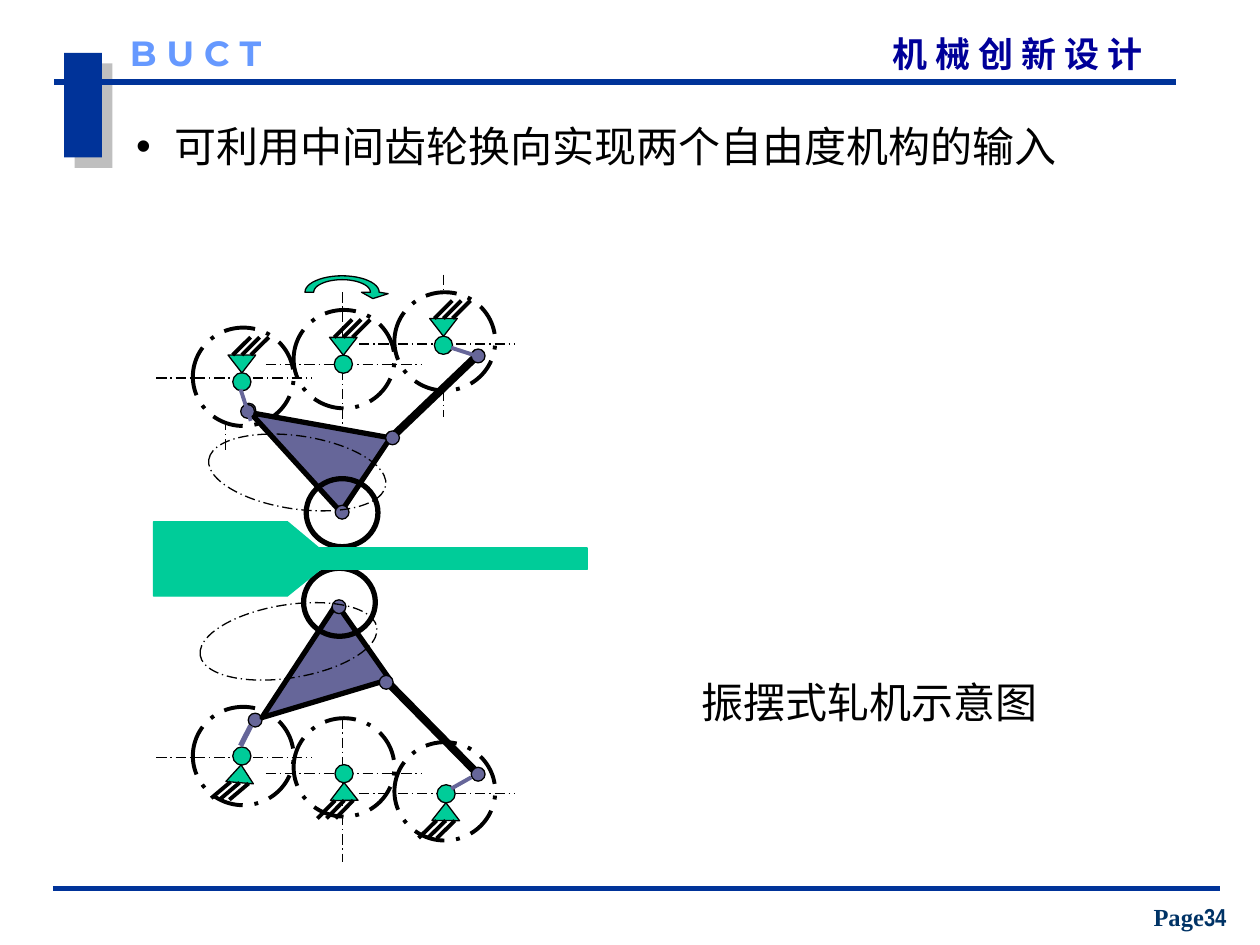
from math import cos, pi, radians, sin

from lxml import etree
from pptx import Presentation
from pptx.dml.color import RGBColor
from pptx.enum.dml import MSO_LINE
from pptx.enum.shapes import MSO_CONNECTOR, MSO_SHAPE
from pptx.enum.text import MSO_ANCHOR, MSO_AUTO_SIZE, PP_ALIGN
from pptx.oxml.ns import qn
from pptx.util import Pt

STRAIGHT = MSO_CONNECTOR.STRAIGHT
RECT, OVAL, TRIANGLE = MSO_SHAPE.RECTANGLE, MSO_SHAPE.OVAL, MSO_SHAPE.ISOSCELES_TRIANGLE
DASH_DOT = MSO_LINE.LONG_DASH_DOT
LEFT, CENTER, RIGHT = PP_ALIGN.LEFT, PP_ALIGN.CENTER, PP_ALIGN.RIGHT
TOP, BOTTOM = MSO_ANCHOR.TOP, MSO_ANCHOR.BOTTOM

COLORS = {"navy": "003399", "title": "000099", "school": "6699FF", "page": "003366",
          "black": "000000", "white": "FFFFFF", "green": "00CC99", "violet": "666699",
          "shadow": "808080"}
CJK, SERIF = "Noto Sans CJK SC", "Times New Roman"

# Text runs: (text, size, font, colour, bold)
TITLE = [("机 械 创 新 设 计", 20, CJK, "title", True)]
SCHOOL = [("B U C T", 20, "Montserrat", "school", True)]
BULLET = [("可利用中间齿轮换向实现两个自由度机构的输入", 24, SERIF, "black", False)]
CAPTION = [("振摆式轧机示意图", 24, SERIF, "black", False)]
PAGE = [("Page", 14, SERIF, "page", True), ("34", 14, "Arial Narrow", "page", True)]

RULES = [(31, 46.8, 671.8, 46.8), (30.2, 507.6, 697, 507.6)]

GEAR_X, GEAR_STEP, GEAR_SIZE = 139, 57.6, (57.6, 56.2)
AXIS_X, AXIS_LENGTH = (89.3, 151.9, 205.2), 88.6
PIVOT, JOINT, ROLLER, ORBIT = 10.4, 7.9, (41, 38.9), (102.2, 41.8)
BASE = (15.8, 10.2)

# Positions are centres; pivots are (x, y, rotation); lines are (x1, y1, x2, y2).
HALVES = [
    {"back_axes": [(128.9, 195.8, 128.9, 257.8), (253.4, 157, 253.4, 238.3)],
     "gear_y": (215.3, 205.2, 195.1),
     "axis_y": (216, 208.1, 196.6),
     "front_axis": (195.8, 167, 195.8, 249.1),
     "pivots": [(253.4, 197.3, 180), (196.2, 208.1, 180), (138.2, 218.2, 180)],
     "back_joint": (142.2, 234.4),
     "link": (272.9, 203, 223.9, 249.8),
     "plate": ((178.9, 266), (81.4, 46.8), 190.2),
     "roller": (195.5, 293),
     "joints": [(273.2, 203.4), (195.5, 292.7), (224.3, 250.2), (141.5, 235.1)],
     "cranks": [((137.5, 222.5, 143.3, 240.5), 2.25), ((257.8, 198.7, 275.8, 204.5), 2.25)],
     "orbit": ((169.9, 270), 8.3)},
    {"back_axes": [],
     "gear_y": (432, 438.5, 452.2),
     "axis_y": (432.7, 442.1, 453.6),
     "front_axis": (195.8, 410.4, 195.8, 492.5),
     "pivots": [(254.9, 453.6, 0.7), (196.6, 442.1, -0.4), (138.2, 432, 4.8)],
     "back_joint": (145.8, 411.5),
     "link": (272.9, 442.1, 221.8, 390.2),
     "plate": ((191.5, 391), (77.8, 49), 123.3),
     "roller": (194, 344.2),
     "joints": [(273.2, 442.4), (220.7, 389.9), (193.7, 346.7)],
     "cranks": [((143.3, 414.7, 137.5, 426.2), 3), ((257.8, 450.7, 269.3, 444.2), 2.25)],
     "orbit": ((164.9, 366.5), 351)},
]

STRIP = ((245.5, 319.3), (180, 12.2))
SLAB = [(87.8, 298.1), (164.2, 298.1), (190.1, 319.7), (164.2, 340.6), (87.8, 340.6)]
ARROW_CENTER, ARROW_OUTER, ARROW_INNER = (195.5, 167), (21.2, 9.4), (16.2, 7.2)
ARROW_HEAD = [(221.8, 167.8), (213.1, 170.6), (206.6, 167)]


def rgb(name):
    return RGBColor.from_string(COLORS[name])


def paint(s, fill, line, width, dash=None):
    s.shadow.inherit = False
    if fill:
        s.fill.solid()
        s.fill.fore_color.rgb = rgb(fill)
    else:
        s.fill.background()
    if line:
        s.line.color.rgb = rgb(line)
        s.line.width = Pt(width)
        s.line.dash_style = dash
    else:
        s.line.fill.background()
    return s


def shape(kind, center, size, fill=None, line="black", width=0.75, dash=None, rotation=0):
    (x, y), (w, h) = center, size
    s = shapes.add_shape(kind, Pt(x - w / 2), Pt(y - h / 2), Pt(w), Pt(h))
    s.rotation = rotation
    return paint(s, fill, line, width, dash)


def line(ends, color="black", width=0.75, dash=None):
    s = shapes.add_connector(STRAIGHT, *map(Pt, ends))
    s.line.color.rgb = rgb(color)
    s.line.width = Pt(width)
    s.line.dash_style = dash
    etree.SubElement(s._element.spPr, qn("a:effectLst"))


def outline(points, fill, color):
    pts = [(Pt(x), Pt(y)) for x, y in points]
    builder = shapes.build_freeform(*pts[0])
    builder.add_line_segments(pts[1:], close=True)
    paint(builder.convert_to_shape(), fill, color, 0.75)


def write(sp, box, runs, align=LEFT, anchor=TOP, inset=(7.2, 3.6)):
    sp.left, sp.top, sp.width, sp.height = map(Pt, box)
    tf = sp.text_frame
    tf.word_wrap, tf.auto_size, tf.vertical_anchor = True, MSO_AUTO_SIZE.NONE, anchor
    tf.margin_left = tf.margin_right = Pt(inset[0])
    tf.margin_top = tf.margin_bottom = Pt(inset[1])
    p = tf.paragraphs[0]
    p.alignment, p.space_before = align, Pt(0)
    for text, size, font, color, bold in runs:
        r = p.add_run()
        r.text = text
        r.font.size, r.font.name, r.font.bold = Pt(size), font, bold
        r.font.color.rgb = rgb(color)
        etree.SubElement(r._r.get_or_add_rPr(), qn("a:ea"), typeface=CJK)
    return p


def textbox(box, runs, **options):
    write(shapes.add_textbox(0, 0, 0, 0), box, runs, **options)


def fixed_pivot(x, y, rotation):
    """Bearing circle with its hatched support, turned about the circle's centre."""
    c, n = cos(radians(rotation)), sin(radians(rotation))

    def turned(dx, dy):
        return x + dx * c - dy * n, y + dx * n + dy * c

    w, h = BASE
    shape(OVAL, (x, y), (PIVOT, PIVOT), "green")
    shape(TRIANGLE, turned(0, h), (w, h), "green", rotation=rotation)
    for dx in (0, -5.2, 5.2):
        line(turned(dx, 1.5 * h) + turned(dx - h, 2.5 * h), width=2.25)


def joint(center):
    shape(OVAL, center, (JOINT, JOINT), "violet")


def mechanism(half):
    for axis in half["back_axes"]:
        line(axis, dash=DASH_DOT)
    for i, y in enumerate(half["gear_y"]):
        shape(OVAL, (GEAR_X + i * GEAR_STEP, y), GEAR_SIZE, "white", width=2.25, dash=DASH_DOT)
    for x, y in zip(AXIS_X, half["axis_y"]):
        line((x, y, x + AXIS_LENGTH, y), dash=DASH_DOT)
    line(half["front_axis"], dash=DASH_DOT)
    for pivot in half["pivots"]:
        fixed_pivot(*pivot)
    joint(half["back_joint"])
    line(half["link"], width=4.5)
    center, size, rotation = half["plate"]
    plate = shape(TRIANGLE, center, size, "violet", width=3, rotation=rotation)
    plate.adjustments[0] = 0.25
    shape(OVAL, half["roller"], ROLLER, width=3)
    for center in half["joints"]:
        joint(center)
    for ends, width in half["cranks"]:
        line(ends, "violet", width)
    center, rotation = half["orbit"]
    shape(OVAL, center, ORBIT, dash=DASH_DOT, rotation=rotation)


def arc(radii, start, end, steps=24):
    (cx, cy), (rx, ry) = ARROW_CENTER, radii
    angles = [start + (end - start) * i / steps for i in range(steps + 1)]
    return [(cx + rx * cos(a), cy - ry * sin(a)) for a in angles]


prs = Presentation()
prs.slide_width, prs.slide_height = Pt(720), Pt(540)
slide = prs.slides.add_slide(prs.slide_layouts[1])
shapes = slide.shapes

block = shape(RECT, (47.5, 60.1), (21.6, 59.8), "navy", None)
effects = block._element.spPr.find(qn("a:effectLst"))
shadow = etree.SubElement(effects, qn("a:outerShdw"), dist=str(Pt(8.5)), dir="2700000",
                          algn="ctr", rotWithShape="0")
tint = etree.SubElement(shadow, qn("a:srgbClr"), val=COLORS["shadow"])
etree.SubElement(tint, qn("a:alpha"), val="50000")
for rule in RULES:
    line(rule, "navy", 3)

write(shapes.title, (391.7, 18.7, 261.3, 23.8), TITLE, align=RIGHT, inset=(0, 0))
textbox((74.2, 18, 102.2, 23.8), SCHOOL, inset=(0, 0))
textbox((645.8, 511.9, 68.4, 23.8), PAGE, align=CENTER, anchor=BOTTOM)
textbox((393.8, 383, 234, 36), CAPTION)
p = write(slide.placeholders[1], (70.6, 65.5, 576, 36), BULLET)
pPr = p._p.get_or_add_pPr()
pPr.set("marL", str(Pt(22)))
pPr.set("indent", str(-Pt(22)))
etree.SubElement(pPr, qn("a:buChar"), char="•")

for half in HALVES:
    mechanism(half)
shape(RECT, *STRIP, "green", "green")
outline(SLAB, "green", "green")
outline(arc(ARROW_INNER, 0, pi) + arc(ARROW_OUTER, pi, 0) + ARROW_HEAD, "green", "black")

prs.save("out.pptx")
